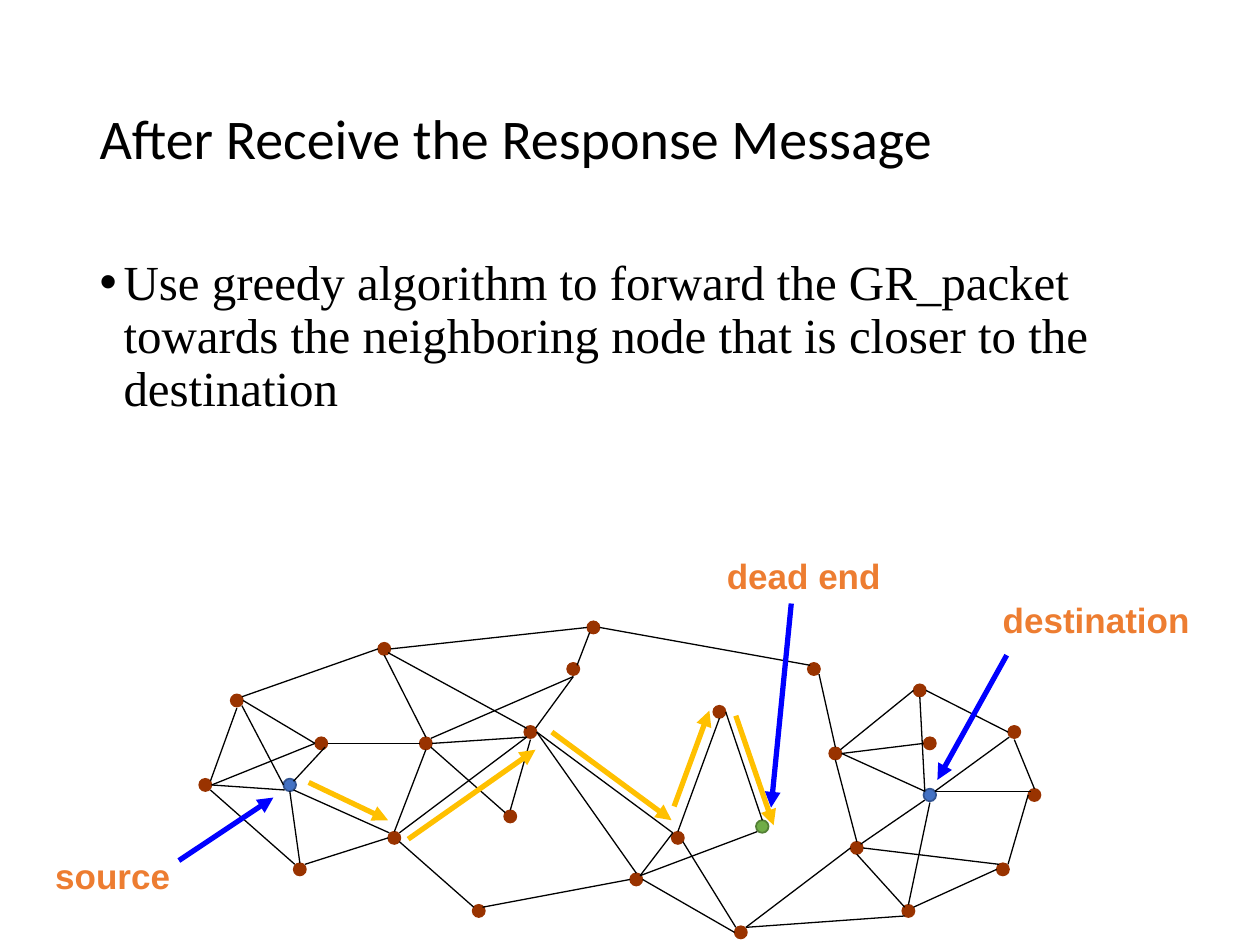
"""Build a slide that shows greedy forwarding through a network to a dead end."""
from lxml import etree
from pptx import Presentation
from pptx import util as u
from pptx.dml.color import RGBColor
from pptx.enum import shapes, text
from pptx.oxml.ns import qn

TITLE = "After Receive the Response Message"
POINT = ("Use greedy algorithm to forward the GR_packet towards the "
         "neighboring node that is closer to the destination")
COLORS = {"ink": "000000", "node": "993300", "end": "4472C4", "end_edge": "325491",
          "dead": "70AD47", "dead_edge": "538035", "label": "ED7D31",
          "pointer": "0000FF", "route": "FFC000"}
NODE_SIZE = 0.1
NODE_STYLES = {"node": ("node", "node", 0.75), "end": ("end", "end_edge", 1),
               "dead": ("dead", "dead_edge", 1)}
NODES = {
    "node": [(1.58, 6.18), (1.83, 5.51), (2.33, 6.85), (2.5, 5.85), (3.08, 6.6),
             (3, 5.1), (3.33, 5.85), (3.75, 7.18), (4.5, 5.26), (4.66, 4.93),
             (4, 6.43), (4.16, 5.76), (5.66, 5.6), (6.41, 5.26), (5, 6.93),
             (5.33, 6.6), (5.83, 7.35), (6.75, 6.68), (6.58, 5.93), (7.25, 5.43),
             (7.33, 5.85), (8, 5.76), (8.16, 6.26), (7.91, 6.85), (7.16, 7.18)],
    "end": [(2.25, 6.18), (7.33, 6.26)],
    "dead": [(6, 6.51)],
}
LINKS = [
    (1.67, 6.2, 1.88, 5.62), (1.92, 5.53, 3, 5.15), (3.1, 5.15, 4.66, 4.98),
    (4.76, 4.98, 6.43, 5.28), (1.67, 6.27, 2.34, 6.86), (1.92, 5.6, 2.25, 6.23),
    (1.93, 5.56, 2.5, 5.9), (2.33, 6.2, 2.58, 5.93), (2.6, 5.9, 3.33, 5.9),
    (3.38, 5.85, 3.05, 5.2), (2.38, 6.85, 2.3, 6.28), (2.42, 6.86, 3.08, 6.65),
    (3.09, 6.61, 2.33, 6.27), (3.13, 6.6, 3.38, 5.95), (3.42, 5.86, 4.55, 5.37),
    (4.58, 5.28, 4.68, 5.02), (3.43, 5.9, 4.18, 5.85), (4.55, 5.37, 4.25, 5.78),
    (3.42, 5.93, 4.01, 6.45), (4.21, 5.87, 4.05, 6.43), (3.17, 6.68, 3.76, 7.2),
    (3.83, 7.2, 5, 6.98), (5.05, 6.93, 4.26, 5.81), (5.08, 6.95, 5.34, 6.61),
    (5.34, 6.61, 4.26, 5.81), (5.38, 6.6, 5.71, 5.7), (5.76, 5.65, 6.05, 6.51),
    (5.42, 6.68, 5.84, 7.36), (5.83, 7.4, 5.1, 6.98), (5.92, 7.36, 6.75, 6.73),
    (6.8, 6.68, 6.63, 6.03), (6.63, 5.93, 6.5, 5.35), (6.67, 5.95, 7.25, 5.48),
    (6.68, 5.98, 7.33, 5.9), (6.68, 5.98, 7.34, 6.28), (7.34, 6.35, 6.83, 6.7),
    (6.8, 6.78, 7.18, 7.2), (5.92, 7.36, 7.18, 7.27), (7.38, 6.37, 7.21, 7.18),
    (7.25, 7.2, 7.91, 6.9), (8, 6.86, 8.16, 6.31), (7.42, 6.28, 8.18, 6.28),
    (8.21, 6.26, 8.05, 5.87), (7.42, 6.28, 8.01, 5.85), (8, 5.81, 7.35, 5.48),
    (1.68, 6.23, 2.5, 5.9), (1.68, 6.23, 2.26, 6.27), (4.18, 5.85, 3.17, 6.61),
    (7.3, 5.53, 7.34, 6.28), (3.08, 5.18, 4.18, 5.78), (6.85, 6.73, 7.93, 6.86),
    (6.01, 6.6, 5.08, 6.95),
]
LABELS = [
    ("source", (0.34, 6.73, 1.17, 0.43), (1.42, 6.83, 2.17, 6.33)),
    ("destination", (7.86, 4.7, 1.74, 0.43), (7.99, 5.2, 7.44, 6.19)),
    ("dead end", (5.67, 4.35, 1.49, 0.44), (6.28, 4.79, 6.12, 6.41)),
]
ROUTE = [(2.45, 6.21, 3.08, 6.51), (3.24, 6.66, 4.25, 5.95), (4.38, 5.81, 5.33, 6.51),
         (5.35, 6.4, 5.63, 5.64), (5.84, 5.68, 6.14, 6.55)]
TITLE_FONT = {"name": "Calibri", "size": u.Pt(32), "bold": False}
POINT_FONT = {"name": "Times New Roman", "size": u.Pt(28), "bold": False}
LABEL_FONT = {"name": "Arial", "size": u.Pt(20), "bold": True}


def inches(values):
    return [u.Inches(value) for value in values]


def rgb(key):
    return RGBColor.from_string(COLORS[key])


def apply(target, values):
    for name, value in values.items():
        setattr(target, name, value)


def write(shape, words, font, color, frame, paragraph):
    apply(shape.text_frame, {"auto_size": text.MSO_AUTO_SIZE.NONE,
                             "word_wrap": True, **frame})
    line = shape.text_frame.paragraphs[0]
    apply(line, {"alignment": text.PP_ALIGN.LEFT, **paragraph})
    run = line.add_run()
    run.text = words
    apply(run.font, font)
    run.font.color.rgb = rgb(color)
    return line


def place(shape, box):
    apply(shape, dict(zip(("left", "top", "width", "height"), inches(box))))


def add_line(parent, ends, color, width, arrow=False):
    line = parent.add_connector(shapes.MSO_CONNECTOR.STRAIGHT, *inches(ends))
    line.line.color.rgb = rgb(color)
    line.line.width = u.Pt(width)
    if arrow:
        etree.SubElement(line.line._get_or_add_ln(), qn("a:tailEnd"), type="triangle")
    etree.SubElement(line._element.spPr, qn("a:effectLst"))


deck = Presentation()
deck.slide_width, deck.slide_height = inches((10, 7.5))
slide = deck.slides.add_slide(deck.slide_layouts[1])
canvas = slide.shapes
title, body = slide.placeholders

place(title, (0.69, 0.4, 8.62, 1.45))
write(title, TITLE, TITLE_FONT, "ink",
      {"vertical_anchor": text.MSO_ANCHOR.MIDDLE}, {"line_spacing": 0.9})
place(body, (0.69, 2, 8.62, 4.76))
point = write(body, POINT, POINT_FONT, "ink", {"vertical_anchor": text.MSO_ANCHOR.TOP},
              {"line_spacing": 0.9, "space_before": u.Pt(7.5)})
bullet = point._p.get_or_add_pPr()
bullet.set("marL", str(u.Inches(0.19)))
bullet.set("indent", str(-u.Inches(0.19)))
etree.SubElement(bullet, qn("a:buFont"), typeface="Arial")
etree.SubElement(bullet, qn("a:buChar"), char="\u2022")

for role, spots in NODES.items():
    fill, edge, width = NODE_STYLES[role]
    for spot in spots:
        node = canvas.add_shape(shapes.MSO_SHAPE.OVAL,
                                *inches((*spot, NODE_SIZE, NODE_SIZE)))
        node.shadow.inherit = False
        node.fill.solid()
        node.fill.fore_color.rgb = rgb(fill)
        node.line.color.rgb = rgb(edge)
        node.line.width = u.Pt(width)

for link in LINKS:
    add_line(canvas, link, "ink", 0.75)

for words, box, pointer in LABELS:
    label = canvas.add_textbox(*inches(box))
    write(label, words, LABEL_FONT, "label",
          {"vertical_anchor": text.MSO_ANCHOR.MIDDLE}, {})
    add_line(canvas, pointer, "pointer", 3, arrow=True)

route = canvas.add_group_shape()
for hop in ROUTE:
    add_line(route.shapes, hop, "route", 3, arrow=True)

deck.save("out.pptx")
